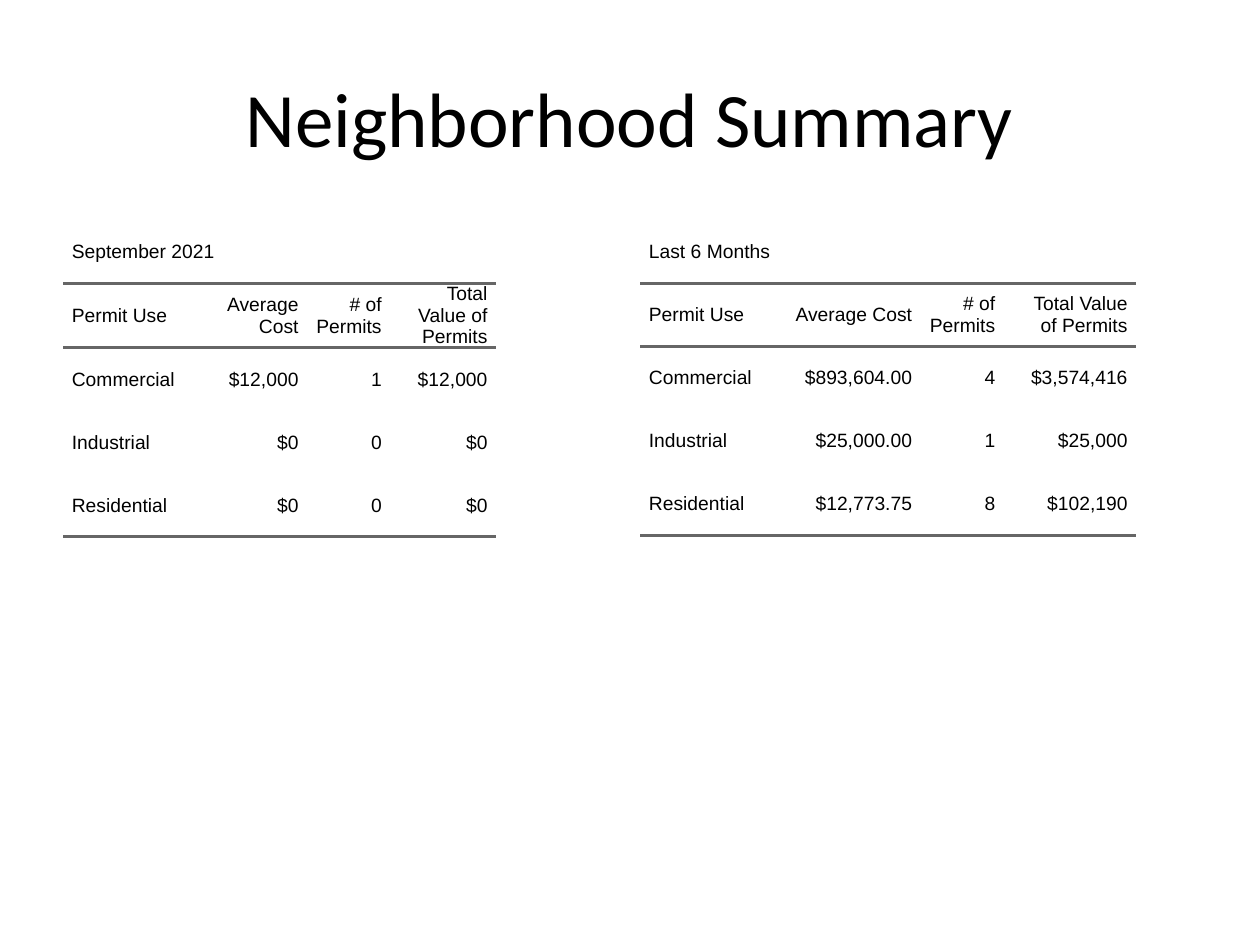
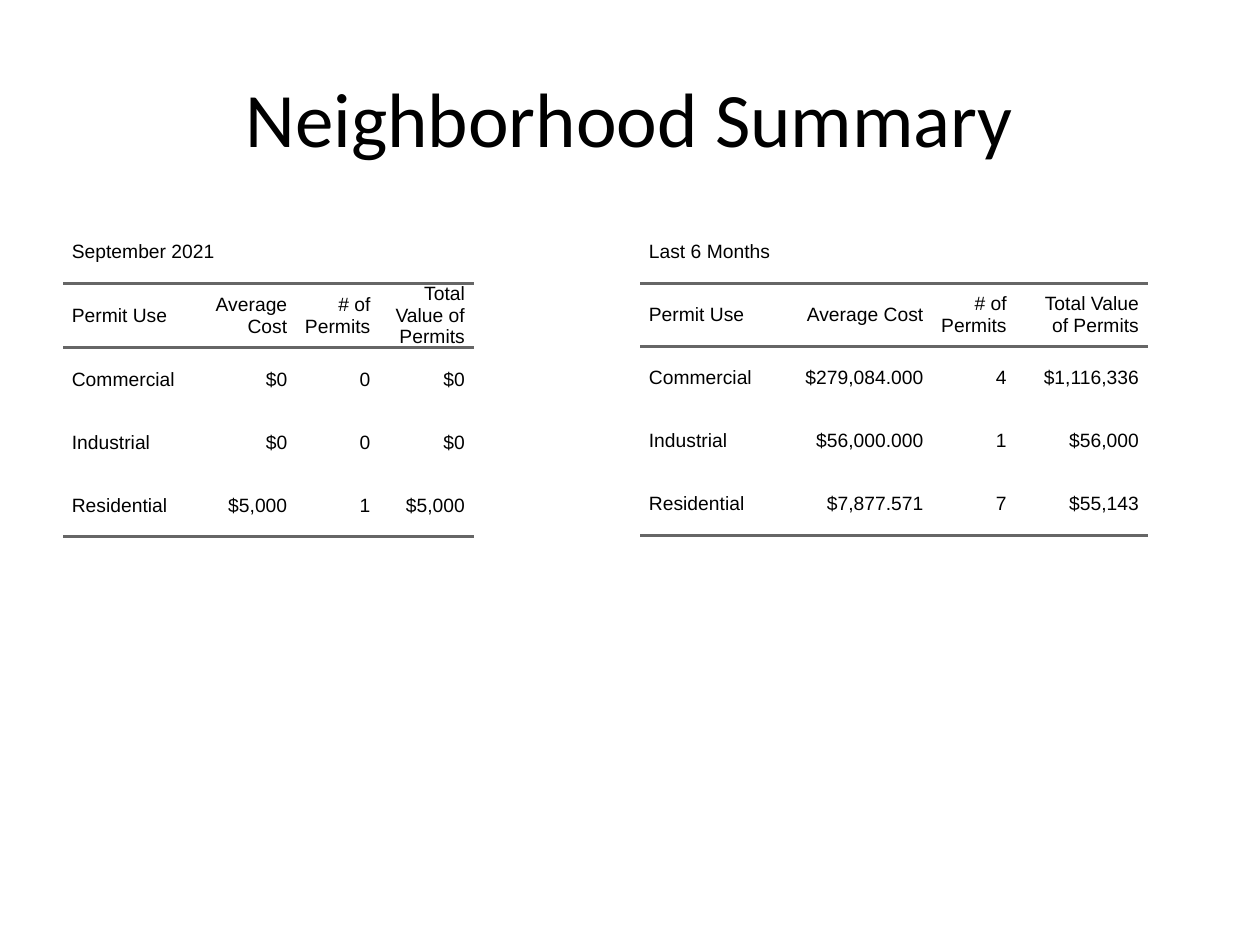
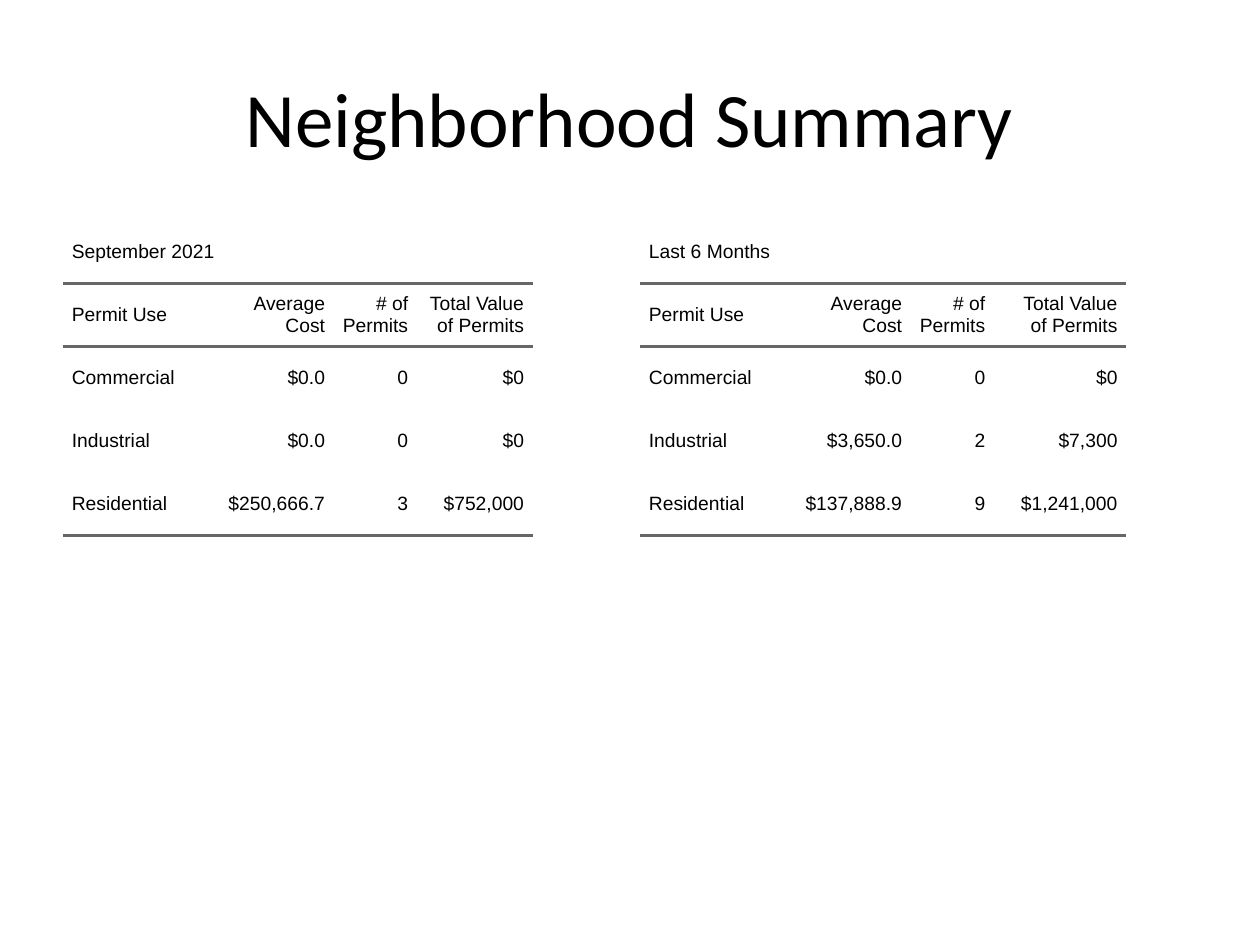
from dataclasses import dataclass

from lxml.etree import SubElement
from pptx import Presentation
from pptx.dml.color import RGBColor
from pptx.enum.text import MSO_ANCHOR, PP_ALIGN
from pptx.oxml.ns import qn
from pptx.slide import Slide
from pptx.table import _Cell
from pptx.util import Inches, Pt

# Shared style
SLIDE_WIDTH, SLIDE_HEIGHT = Inches(10), Inches(7.5)
TITLE = "Neighborhood Summary"
TITLE_FONT, TITLE_SIZE = "Calibri", 44
TABLE_FONT, TABLE_SIZE = "Arial", 11
INK, RULE = "000000", "666666"
RULE_WIDTH = Pt(2)
TEXT_INSET = Inches(0.07)
NO_STYLE_NO_GRID = "{2D5ABB26-0587-4C30-8999-92F81FD0307C}"

# Shared grid
MARGIN = Inches(0.5)
CONTENT_WIDTH = SLIDE_WIDTH - 2 * MARGIN
TITLE_TOP, TITLE_HEIGHT = Inches(0.3), Inches(1.25)
PANEL_TOP, PANEL_WIDTH, PANEL_HEIGHT = Inches(1.75), Inches(4.42), Inches(4.95)
PANEL_STEP = CONTENT_WIDTH - PANEL_WIDTH
ROW_HEIGHT = Inches(0.5)
USE_WIDTH, COUNT_WIDTH = 1.1, 0.66

HEADER = ("Permit Use", "Average Cost", "# of Permits", "Total Value of Permits")
PERMIT_USES = ("Commercial", "Industrial", "Residential")
PERIODS = ("September 2021", "Last 6 Months")


@dataclass(frozen=True)
class PermitSummary:
    cost_width: float
    value_width: float
    average_costs: tuple[str, ...]
    permit_counts: tuple[str, ...]
    total_values: tuple[str, ...]


# One pair of summaries per neighborhood, in the order of PERIODS
NEIGHBORHOODS = (
    (
        PermitSummary(0.84, 0.84, ("$12,000", "$0", "$0"),
                      ("1", "0", "0"), ("$12,000", "$0", "$0")),
        PermitSummary(1.13, 1.05, ("$893,604.00", "$25,000.00", "$12,773.75"),
                      ("4", "1", "8"), ("$3,574,416", "$25,000", "$102,190")),
    ),
    (
        PermitSummary(0.75, 0.75, ("$0", "$0", "$5,000"),
                      ("0", "0", "1"), ("$0", "$0", "$5,000")),
        PermitSummary(1.22, 1.05, ("$279,084.000", "$56,000.000", "$7,877.571"),
                      ("4", "1", "7"), ("$1,116,336", "$56,000", "$55,143")),
    ),
    (
        PermitSummary(1.05, 0.92, ("$0.0", "$0.0", "$250,666.7"),
                      ("0", "0", "3"), ("$0", "$0", "$752,000")),
        PermitSummary(1.05, 1.05, ("$0.0", "$3,650.0", "$137,888.9"),
                      ("0", "2", "9"), ("$0", "$7,300", "$1,241,000")),
    ),
)


def color(hex_code: str) -> RGBColor:
    return RGBColor.from_string(hex_code)


def draw_title(slide: Slide) -> None:
    title = slide.shapes.title
    title.left, title.top = MARGIN, TITLE_TOP
    title.width, title.height = CONTENT_WIDTH, TITLE_HEIGHT
    title.text_frame.text = TITLE
    title.text_frame.vertical_anchor = MSO_ANCHOR.MIDDLE
    paragraph = title.text_frame.paragraphs[0]
    paragraph.alignment = PP_ALIGN.CENTER
    font = paragraph.runs[0].font
    font.name, font.size = TITLE_FONT, Pt(TITLE_SIZE)
    font.color.rgb = color(INK)


def rule_cell(cell: _Cell, edges: tuple[str, ...]) -> None:
    properties = cell._tc.get_or_add_tcPr()
    for edge in edges:
        line = SubElement(properties, qn(f"a:{edge}"), w=str(RULE_WIDTH))
        fill = SubElement(line, qn("a:solidFill"))
        SubElement(fill, qn("a:srgbClr"), val=RULE)


def fill_cell(cell: _Cell, text: str, align: PP_ALIGN) -> None:
    cell.margin_left = cell.margin_right = cell.margin_top = cell.margin_bottom = 0
    cell.vertical_anchor = MSO_ANCHOR.MIDDLE
    cell.fill.background()
    paragraph = cell.text_frame.paragraphs[0]
    paragraph.text = text
    paragraph.alignment = align
    for side in ("marL", "marR"):
        paragraph._p.get_or_add_pPr().set(side, str(TEXT_INSET))
    font = paragraph.runs[0].font
    font.name, font.size = TABLE_FONT, Pt(TABLE_SIZE)
    font.color.rgb = color(INK)


def draw_summary(slide: Slide, panel: int, summary: PermitSummary) -> None:
    body = list(zip(PERMIT_USES, summary.average_costs,
                    summary.permit_counts, summary.total_values))
    lines = [(PERIODS[panel],), HEADER, *body]
    frame = slide.shapes.add_table(
        len(lines), len(HEADER), MARGIN + panel * PANEL_STEP, PANEL_TOP,
        PANEL_WIDTH, PANEL_HEIGHT)
    table = frame.table
    table.first_row = table.horz_banding = False
    table._tbl.tblPr.find(qn("a:tableStyleId")).text = NO_STYLE_NO_GRID

    widths = (USE_WIDTH, summary.cost_width, COUNT_WIDTH, summary.value_width)
    for column, width in zip(table.columns, widths):
        column.width = Inches(width)
    for row in table.rows:
        row.height = ROW_HEIGHT
    frame.width, frame.height = PANEL_WIDTH, PANEL_HEIGHT

    # The period spans the table; rules frame the header and close the body
    table.cell(0, 0).merge(table.cell(0, len(HEADER) - 1))
    edges = {1: ("lnT", "lnB"), len(lines) - 1: ("lnB",)}
    for row_index, line in enumerate(lines):
        for column_index, text in enumerate(line):
            cell = table.cell(row_index, column_index)
            rule_cell(cell, edges.get(row_index, ()))
            fill_cell(cell, text, PP_ALIGN.RIGHT if column_index else PP_ALIGN.LEFT)


def main() -> None:
    deck = Presentation()
    deck.slide_width, deck.slide_height = SLIDE_WIDTH, SLIDE_HEIGHT
    title_only = deck.slide_layouts.get_by_name("Title Only")
    for summaries in NEIGHBORHOODS:
        slide = deck.slides.add_slide(title_only)
        draw_title(slide)
        for panel, summary in enumerate(summaries):
            draw_summary(slide, panel, summary)
    deck.save("out.pptx")


if __name__ == "__main__":
    main()
